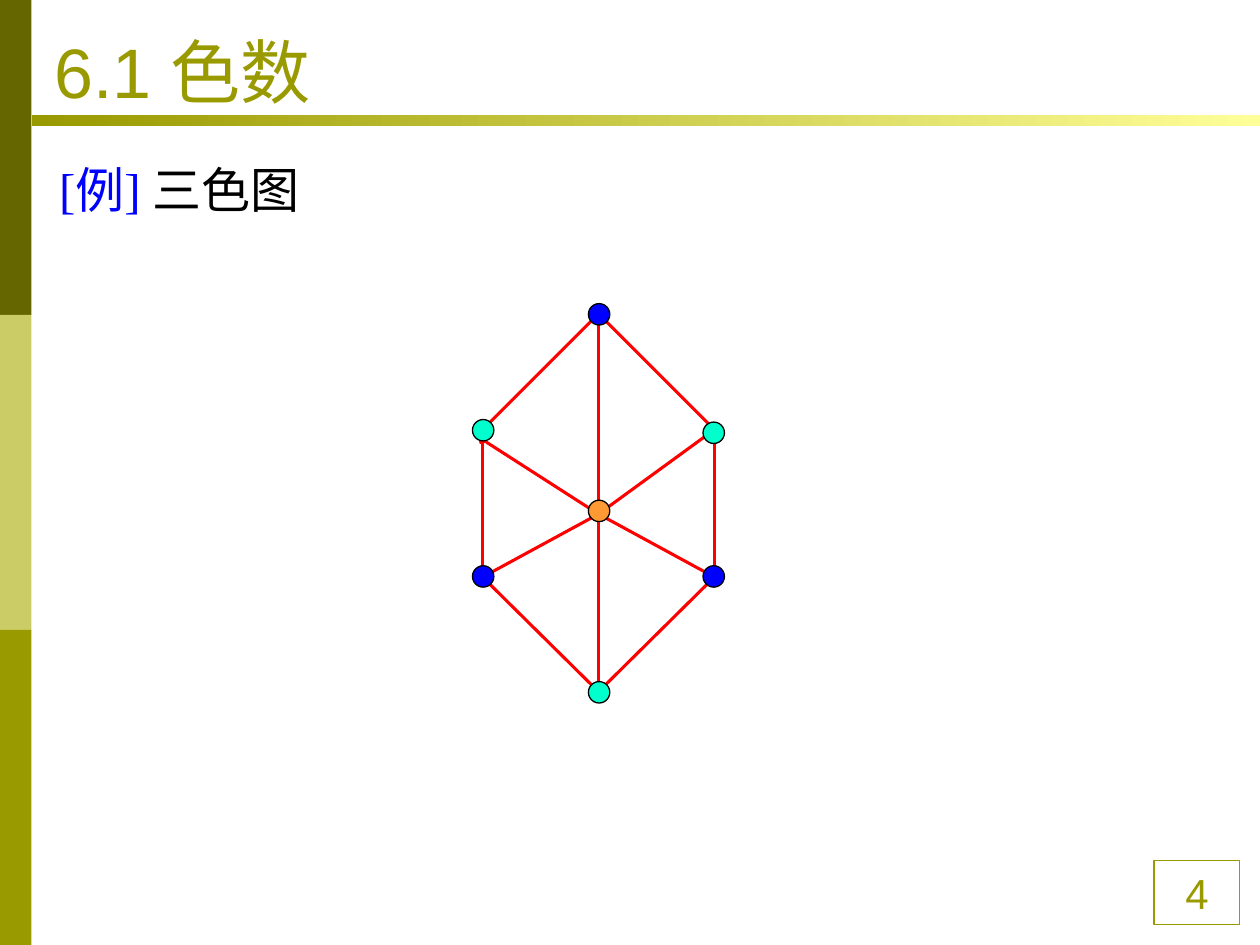
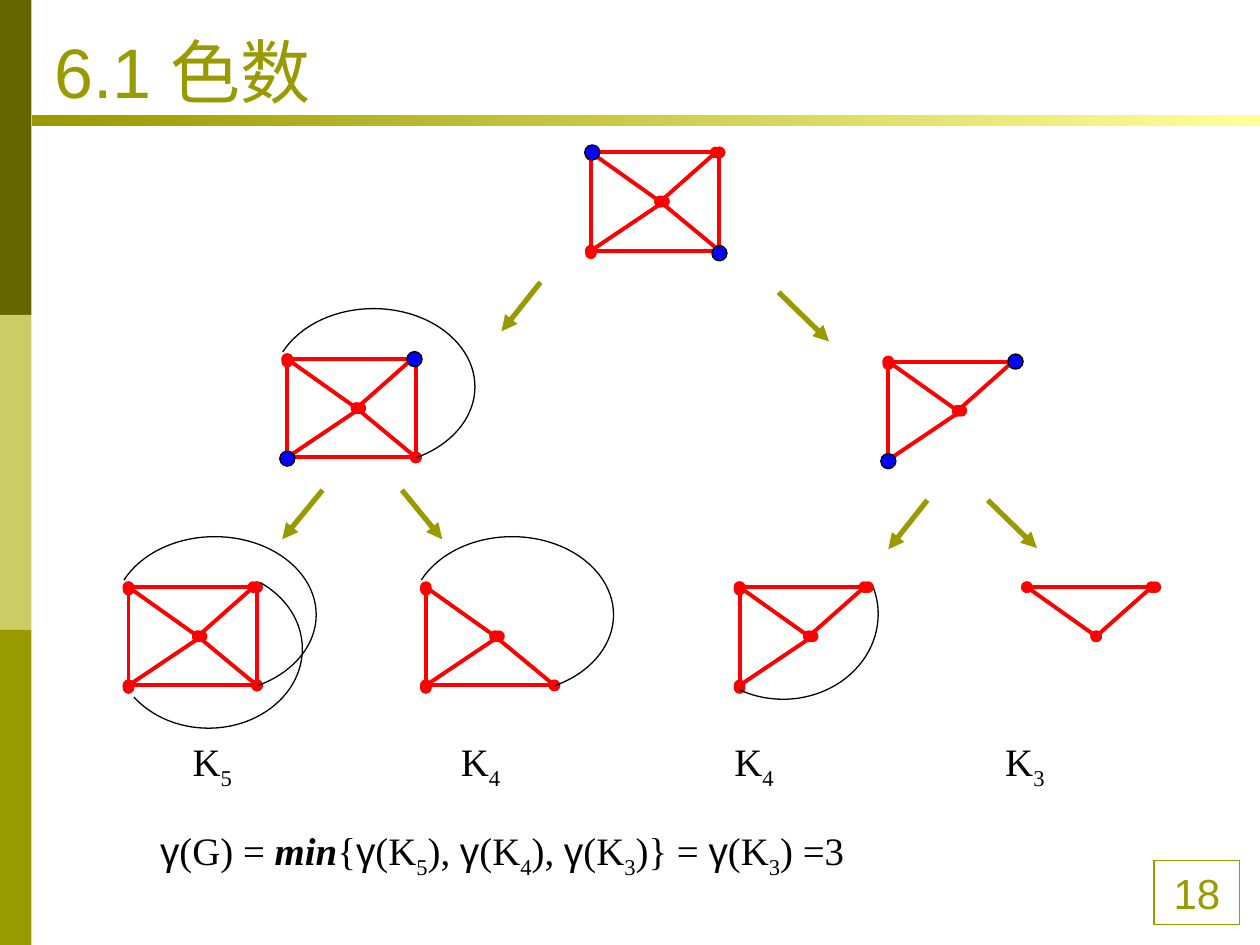
"""Builds two slides on the chromatic number of a graph."""
from lxml.etree import SubElement
from pptx import Presentation
from pptx.dml.color import RGBColor
from pptx.enum.shapes import MSO_CONNECTOR, MSO_SHAPE
from pptx.enum.text import MSO_ANCHOR, MSO_AUTO_SIZE, PP_ALIGN
from pptx.oxml.ns import qn
from pptx.util import Inches, Pt

COLOURS = {
    "dark": "666600", "light": "CCCC66", "olive": "999900", "pale": "FFFF99",
    "red": "FF0000", "blue": "0000FF", "teal": "00FFCC", "orange": "FF9933",
    "black": "000000",
}
TITLE = "6.1 色数"
SERIF, SANS = "Times New Roman", "Arial"

TOP, BOTTOM, HUB = (4.75, 2.49), (4.75, 5.49), (4.75, 4.08)
LEFT, RIGHT = (3.83, 3.41), (5.67, 3.41)
LOW_LEFT, LOW_RIGHT = (3.83, 4.58), (5.67, 4.58)
RIM = [TOP, RIGHT, LOW_RIGHT, BOTTOM, LOW_LEFT, LEFT]
SPOKES = [(TOP, BOTTOM), (LOW_LEFT, HUB), (HUB, LOW_RIGHT),
          (HUB, (3.83, 3.49)), (HUB, RIGHT)]
WHEEL_NODES = [
    (4.67, 2.41, "blue"), (5.58, 3.35, "teal"), (4.67, 3.97, "orange"),
    (3.75, 3.33, "teal"), (4.67, 5.41, "teal"), (5.58, 4.49, "blue"),
    (3.75, 4.49, "blue"),
]

WIDTH, HEIGHT = 1.02, 0.78
EDGES = {
    "top": (0, 0, WIDTH, 0),
    "bottom": (0, HEIGHT, WIDTH, HEIGHT),
    "sw": (0, HEIGHT, 0.58, 0.39),
    "nw": (0, 0, 0.55, 0.39),
    "ne": (0.99, 0, 0.55, 0.39),
    "se": (0.55, 0.39, WIDTH, HEIGHT),
    "right": (WIDTH, 0, WIDTH, HEIGHT),
    "left": (0, 0.02, 0, 0.8),
}
FULL = list(EDGES)
NO_SE = ["top", "sw", "nw", "ne", "left"]
NO_NE = ["bottom", "sw", "nw", "se", "left"]
ARCS = {
    "over": (-0.12, -0.4, 1.61, 1.24, 201, 59),
    "under": (-0.11, -0.14, 1.49, 1.26, 308, 147),
    "side": (-0.41, -0.46, 1.51, 1.35, 344, 120),
}
CORNERS = {"nw": (-0.05, -0.06), "ne": (0.95, -0.06),
           "sw": (-0.06, 0.73), "se": (0.96, 0.74)}
GRAPHS = [
    (4.69, 1.21, FULL, [], ["nw", "se"]),
    (2.28, 2.85, FULL, ["over"], ["ne", "sw"]),
    (7.05, 2.87, NO_SE, [], ["ne", "sw"]),
    (1.02, 4.66, FULL, ["over", "under"], []),
    (3.38, 4.66, NO_NE, ["over"], []),
    (5.87, 4.66, NO_SE, ["side"], []),
    (8.15, 4.66, ["top", "nw", "ne"], [], []),
]
ARROWS = [
    (4.29, 2.24, 3.98, 2.63), (6.18, 2.32, 6.58, 2.71),
    (2.56, 3.89, 2.24, 4.28), (3.19, 3.89, 3.51, 4.28),
    (7.36, 3.97, 7.05, 4.36), (7.84, 3.97, 8.23, 4.35),
]
LABELS = [(1.43, "5"), (3.56, "4"), (5.73, "4"), (7.88, "3")]


def colour(name):
    return RGBColor.from_string(COLOURS[name])


def add_block(page, kind, area, fill=None, line=None):
    shape = page.shapes.add_shape(kind, *map(Inches, area))
    shape.shadow.inherit = False
    if fill:
        shape.fill.solid()
        shape.fill.fore_color.rgb = colour(fill)
    else:
        shape.fill.background()
    if line:
        shape.line.color.rgb = colour(line)
        shape.line.width = Pt(0.75)
    else:
        shape.line.fill.background()
    return shape


def add_node(page, left, top, size, fill):
    add_block(page, MSO_SHAPE.OVAL, (left, top, size, size), fill, "black")


def add_line(page, ends, line, width, head=None, tail=None):
    connector = page.shapes.add_connector(MSO_CONNECTOR.STRAIGHT, *map(Inches, ends))
    connector.line.color.rgb = colour(line)
    connector.line.width = Pt(width)
    outline = connector.line._get_or_add_ln()
    for tag, end in (("a:headEnd", head), ("a:tailEnd", tail)):
        if end:
            SubElement(outline, qn(tag), type=end)
    SubElement(connector._element.spPr, qn("a:effectLst"))


def add_arc(page, area, start, end):
    """Draws a clockwise arc between two angles in degrees."""
    arc = add_block(page, MSO_SHAPE.ARC, area, line="black")
    arc.adjustments[0] = start * 0.6
    arc.adjustments[1] = end * 0.6


def place(box, area, anchor=MSO_ANCHOR.TOP):
    box.left, box.top, box.width, box.height = map(Inches, area)
    frame = box.text_frame
    frame.word_wrap = True
    frame.auto_size = MSO_AUTO_SIZE.NONE
    frame.vertical_anchor = anchor
    return frame.paragraphs[0]


def set_font(paragraph, name, size, text_colour):
    paragraph.font.name = name
    paragraph.font.size = Pt(size)
    paragraph.font.color.rgb = colour(text_colour)


def write_line(paragraph, spans, size, spacing, indent=0):
    """Fills a paragraph with (text, style) spans."""
    properties = paragraph._p.get_or_add_pPr()
    properties.set("marL", str(Inches(indent)))
    properties.set("indent", "0")
    SubElement(properties, qn("a:buNone"))
    set_font(paragraph, SERIF, size, "black")
    paragraph.space_before = Pt(0)
    paragraph.line_spacing = spacing
    for text, style in spans:
        span = paragraph.add_run()
        span.text = text
        if style == "sub":
            span._r.get_or_add_rPr().set("baseline", "-25000")
        elif style == "greek":
            span.font.name = SANS
        elif style == "strong":
            span.font.bold = span.font.italic = True
        elif style:
            span.font.color.rgb = colour(style)


def gamma(order):
    return [("γ", "greek"), ("(K", None), (order, "sub"), (")", None)]


def add_page(deck, number):
    page = deck.slides.add_slide(deck.slide_layouts[1])
    for row, fill in enumerate(("dark", "light", "olive")):
        add_block(page, MSO_SHAPE.RECTANGLE, (0, 2.5 * row, 0.25, 2.5), fill)
    rule = add_block(page, MSO_SHAPE.RECTANGLE, (0.25, 0.91, 9.75, 0.09))
    rule.fill.gradient()
    rule.fill.gradient_angle = 0
    for stop, name in zip(rule.fill.gradient_stops, ("olive", "pale")):
        stop.color.rgb = colour(name)

    area = (9.16, 6.83, 0.68, 0.51)
    badge = add_block(page, MSO_SHAPE.RECTANGLE, area, line="olive")
    paragraph = place(badge, area, MSO_ANCHOR.MIDDLE)
    paragraph.alignment = PP_ALIGN.CENTER
    set_font(paragraph, SANS, 24, "olive")
    paragraph.add_run().text = str(number)

    heading = place(page.shapes.title, (0.33, 0.08, 9, 0.86), MSO_ANCHOR.BOTTOM)
    heading.alignment = PP_ALIGN.LEFT
    set_font(heading, SANS, 40, "olive")
    heading.add_run().text = TITLE
    return page


def add_wheel(page):
    for start, end in list(zip(RIM, RIM[1:] + RIM[:1])) + SPOKES:
        add_line(page, start + end, "red", 1.75, "diamond", "diamond")
    for left, top, fill in WHEEL_NODES:
        add_node(page, left, top, 0.17, fill)


def add_graph(page, x, y, edges, arcs, marked):
    for name in edges:
        x1, y1, x2, y2 = EDGES[name]
        add_line(page, (x + x1, y + y1, x + x2, y + y2), "red", 2.25, "oval", "oval")
    for name in arcs:
        dx, dy, width, height, start, end = ARCS[name]
        add_arc(page, (x + dx, y + dy, width, height), start, end)
    for name in marked:
        dx, dy = CORNERS[name]
        add_node(page, x + dx, y + dy, 0.12, "blue")


def add_label(page, left, order):
    area = (left, 5.72, 0.6, 0.63)
    label = place(page.shapes.add_textbox(*map(Inches, area)), area)
    write_line(label, [("K", None), (order, "sub")], 22.2, 1.2)


def add_example_page(deck):
    page = add_page(deck, 4)
    body = place(page.placeholders[1], (0.37, 1.08, 9.37, 0.79))
    write_line(body, [("[例] ", "blue"), ("三色图", None)], 28, 1.3)
    add_wheel(page)


def add_reduction_page(deck):
    page = add_page(deck, 18)
    for graph in GRAPHS:
        add_graph(page, *graph)
    for ends in ARROWS:
        add_line(page, ends, "olive", 3, tail="triangle")
    for left, order in LABELS:
        add_label(page, left, order)

    comma = [(", ", None)]
    formula = [("γ", "greek"), ("(G) =", None), (" min", "strong"), ("{", None)]
    formula += gamma("5") + comma + gamma("4") + comma + gamma("3")
    formula += [("} = ", None)] + gamma("3") + [(" =3", None)]
    body = place(page.placeholders[1], (0.35, 6.43, 9.31, 0.63))
    write_line(body, formula, 22.2, 1.2, indent=0.82)


def main():
    deck = Presentation()
    deck.slide_width, deck.slide_height = Inches(10), Inches(7.5)
    add_example_page(deck)
    add_reduction_page(deck)
    deck.save("out.pptx")


if __name__ == "__main__":
    main()
